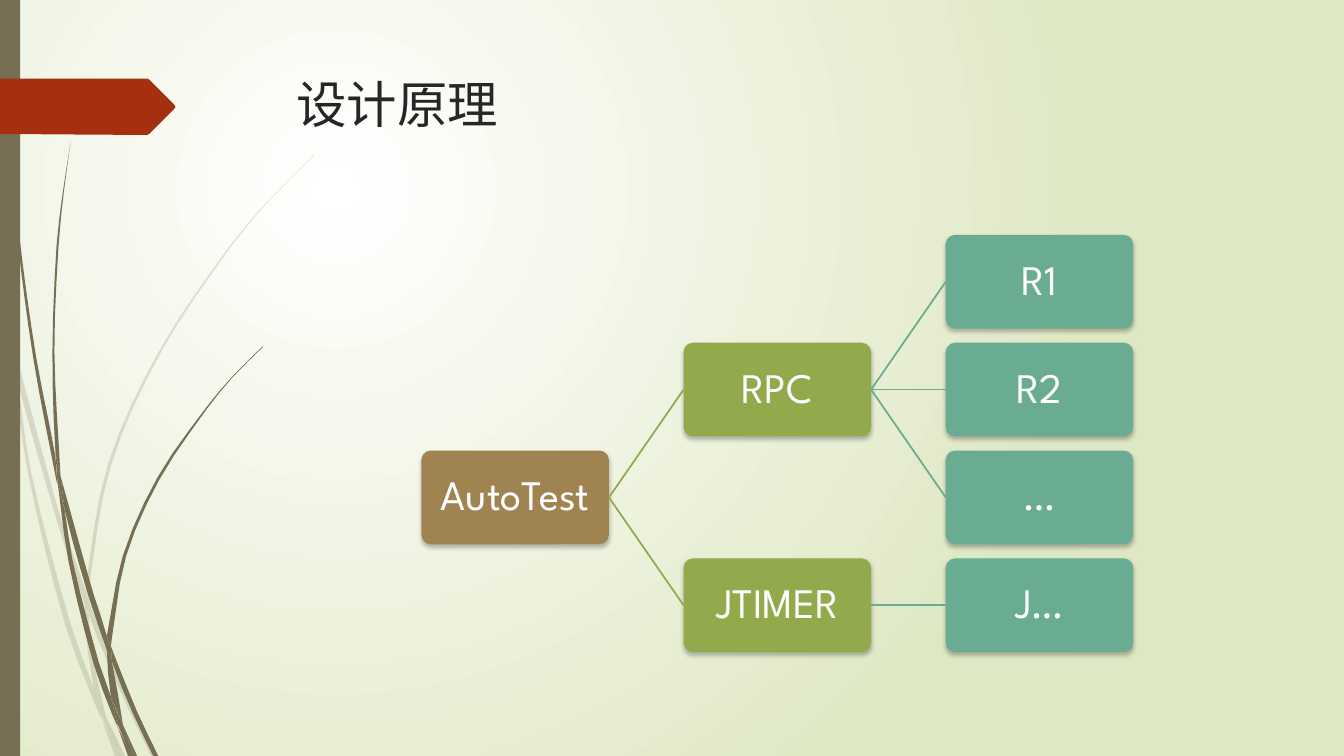
from dataclasses import dataclass
from math import ceil, dist
from typing import Any

from lxml import etree
from pptx import Presentation
from pptx import util as u
from pptx.dml.color import RGBColor
from pptx.enum import shapes, text
from pptx.oxml.ns import qn

COLORS = {
    "white": "FFFFFF", "pale": "DFE8C4", "stem": "766F54", "flag": "A53010",
    "ink": "262626", "brown": "9F8351", "green": "92AA4C", "teal": "6AAC91",
    "black": "000000",
}
FONT = "League Spartan"
Point = tuple[float, float]

# Box grid in inches
LEFT, TOP = 4.18, 2.33
WIDE, HIGH = 1.86, 0.93
STEP_X, STEP_Y = 2.6, 1.07


@dataclass
class Node:
    label: str
    col: int
    row: int
    color: str
    root: int | None = None


@dataclass
class Leaf:
    outline: str
    color: str = "stem"
    alpha: int = 100


NODES = [
    Node("AutoTest", 0, 2, "brown"),
    Node("RPC", 1, 1, "green", 0),
    Node("R1", 2, 0, "teal", 1),
    Node("R2", 2, 1, "teal", 1),
    Node("…", 2, 2, "teal", 1),
    Node("JTIMER", 1, 3, "green", 0),
    Node("J…", 2, 3, "teal", 5),
]

# Outlines as x,y pairs in inches
FAINT = [
    "0.11,3.5 0.09,3.22 0,2.82 0,2.99 0.1,3.44",
    "0.58,5.22 0.84,5.99 0.85,5.86 0.62,5.2 0.14,3.45 0.17,3.76",
    "0.92,6.07 0.88,5.96 0.88,6.1 1.23,6.94 1.5,7.5 1.55,7.5 1.27,6.92",
    "1.19,7.5 1.24,7.5 1.05,7.11",
    "0.93,6.83 0.7,6.19 0.31,4.69 0.17,3.76 0.11,3.5 0.28,4.7 0.65,6.21 "
    "0.92,6.93 1.01,7.14 0.99,7.07",
    "0.84,5.99 0.87,6.46 0.93,6.83 0.96,6.92 1.05,7.11 0.91,6.46 0.88,6.1",
    "0.88,5.84 1.1,4.62 1.6,3.49 2.29,2.45 2.68,1.98 3.12,1.54 3.12,1.53 "
    "2.68,1.97 2.28,2.44 1.58,3.48 1.07,4.61 0.85,5.84 0.88,5.96",
    "1.01,7.14 1.14,7.5 1.19,7.5",
    "0.88,6.08 0.88,5.96 0.85,5.86 0.84,5.99",
    "0.96,6.92 0.93,6.83 0.99,7.07 1.19,7.5 1.05,7.11",
]
DARK = [
    "0.07,1.1 0.17,2.33 0.33,3.55 0.56,4.77 0.57,4.81 0.55,4.53 0.36,3.55 "
    "0.19,2.32 0.08,1.09 0.04,0 0.03,0",
    "0.88,5.92 1.06,6.45 1.06,6.31 0.93,5.9 0.6,4.72 0.64,5.05",
    "1.13,6.49 1.1,6.41 1.11,6.56 1.32,7.08 1.52,7.5 1.57,7.5 1.36,7.06",
    "1.1,6.91 0.98,6.57 0.72,5.56 0.64,5.05 0.57,4.77 0.68,5.57 0.93,6.59 "
    "1.11,7.08 1.17,7.22 1.16,7.17",
    "0.6,4.72 0.54,3.49 0.58,2.45 0.63,1.93 0.7,1.41 0.62,1.93 0.56,2.45 "
    "0.52,3.49 0.55,4.49",
    "1.33,7.5 1.36,7.5 1.22,7.19",
    "0.57,4.77 0.64,5.05 0.6,4.72 0.55,4.49",
    "1.11,6.33 1.25,5.52 1.58,4.76 2.05,4.06 2.31,3.74 2.61,3.44 2.6,3.44 "
    "2.31,3.73 2.04,4.05 1.56,4.74 1.22,5.51 1.06,6.31 1.1,6.41",
    "1.17,7.22 1.27,7.5 1.31,7.5",
    "1.06,6.45 1.1,6.91 1.22,7.19 1.11,6.56",
    "1.06,6.45 1.11,6.56 1.1,6.41 1.06,6.31",
    "1.16,7.06 1.1,6.91 1.16,7.17 1.3,7.5 1.33,7.5 1.22,7.19",
]
FLAG = "0,0.78 1.46,0.78 1.48,0.79 1.73,1.04 1.74,1.06 1.73,1.08 1.48,1.33 1.46,1.34 0,1.33"

# Format values
TITLE = {"name": FONT, "size": u.Pt(36)}
LABEL = {"name": FONT, "size": u.Pt(30)}
FRAME = {
    "word_wrap": True, "vertical_anchor": text.MSO_ANCHOR.MIDDLE,
    "margin_left": u.Inches(0.05), "margin_right": u.Inches(0.05),
    "margin_top": u.Inches(0.05), "margin_bottom": u.Inches(0.05),
}
PARA = {"alignment": text.PP_ALIGN.CENTER, "line_spacing": 0.9}


def apply(target: Any, values: dict[str, Any]) -> None:
    for key, value in values.items():
        setattr(target, key, value)


def rgb(name: str) -> RGBColor:
    return RGBColor.from_string(COLORS[name])


def add(parent: Any, tag: str, **attrs: Any) -> Any:
    return etree.SubElement(parent, qn(tag), {k: str(v) for k, v in attrs.items()})


def paint(shape: Any, color: str, alpha: int = 100) -> None:
    shape.shadow.inherit = False
    shape.fill.solid()
    shape.fill.fore_color.rgb = rgb(color)
    shape.line.fill.background()
    if alpha < 100:
        add(next(shape.element.iter(qn("a:srgbClr"))), "a:alpha", val=alpha * 1000)


def unit(a: Point, b: Point) -> Point:
    size = dist(a, b) or 1
    return (b[0] - a[0]) / size, (b[1] - a[1]) / size


def smooth(knots: list[Point], reach: float = 0.4) -> list[Point]:
    """Round a closed outline between its corners."""
    count, slopes, result = len(knots), [], []
    for i, knot in enumerate(knots):
        back, ahead = unit(knots[i - 1], knot), unit(knot, knots[(i + 1) % count])
        bend = back[0] * ahead[0] + back[1] * ahead[1]
        mid = unit(knots[i - 1], knots[(i + 1) % count])
        slopes.append((mid, mid) if bend > 0.9 else (back, ahead))
    for i, a in enumerate(knots):
        j = (i + 1) % count
        b, size = knots[j], dist(a, knots[j])
        out, into = slopes[i][1], slopes[j][0]
        steps = ceil(size / reach)
        for t in (k / steps for k in range(steps)):
            w = t * t * (3 - 2 * t)
            p, q = size * t * (1 - t) ** 2, size * t * t * (t - 1)
            result.append(tuple(a[n] * (1 - w) + b[n] * w + out[n] * p + into[n] * q
                                for n in (0, 1)))
    return result


def draw_leaf(slide: Any, leaf: Leaf) -> None:
    knots = [tuple(map(float, pair.split(","))) for pair in leaf.outline.split()]
    first, *rest = [(u.Inches(x), u.Inches(y)) for x, y in smooth(knots)]
    pen = slide.shapes.build_freeform(*first)
    pen.add_line_segments(rest)
    paint(pen.convert_to_shape(), leaf.color, leaf.alpha)


def draw_node(slide: Any, node: Node) -> Any:
    box = slide.shapes.add_shape(
        shapes.MSO_SHAPE.ROUNDED_RECTANGLE,
        u.Inches(LEFT + node.col * STEP_X), u.Inches(TOP + node.row * STEP_Y),
        u.Inches(WIDE), u.Inches(HIGH))
    box.adjustments[0] = 0.1
    paint(box, node.color)
    glow = add(next(box.element.iter(qn("a:effectLst"))), "a:outerShdw",
               blurRad=u.Pt(3), dist=u.Pt(2), dir=5400000, rotWithShape=0)
    add(add(glow, "a:srgbClr", val=COLORS["black"]), "a:alpha", val=25000)
    apply(box.text_frame, FRAME)
    para = box.text_frame.paragraphs[0]
    para.text = node.label
    apply(para, PARA)
    apply(para.font, LABEL)
    para.font.color.rgb = rgb("white")
    return box


def draw_link(slide: Any, start: Any, end: Any, color: str) -> None:
    link = slide.shapes.add_connector(shapes.MSO_CONNECTOR.STRAIGHT, 0, 0, 0, 0)
    link.begin_connect(start, 3)
    link.end_connect(end, 1)
    link.line.color.rgb = rgb(color)
    link.line.width = u.Pt(1.25)
    add(link.element.spPr, "a:effectLst")


def main() -> None:
    deck = Presentation()
    deck.slide_width, deck.slide_height = u.Inches(13.33), u.Inches(7.5)
    slide = deck.slides.add_slide(deck.slide_layouts[6])

    # Radial backdrop
    fill = slide.background.fill
    fill.gradient()
    for stop, place, color in zip(fill.gradient_stops, (0, 1), ("white", "pale")):
        stop.position, stop.color.rgb = place, rgb(color)
    grad = next(slide.element.iter(qn("a:gradFill")))
    grad.remove(grad.find(qn("a:lin")))
    add(add(grad, "a:path", path="circle"), "a:fillToRect",
        l=50000, t=50000, r=100000, b=100000)

    # Stems, side bar and flag
    for leaf in [Leaf(s, alpha=20) for s in FAINT] + [Leaf(s) for s in DARK]:
        draw_leaf(slide, leaf)
    bar = slide.shapes.add_shape(
        shapes.MSO_SHAPE.RECTANGLE, 0, 0, u.Inches(0.2), deck.slide_height)
    paint(bar, "stem")
    draw_leaf(slide, Leaf(FLAG, "flag"))

    # Title
    title = slide.shapes.add_textbox(*map(u.Inches, (2.84, 0.68, 9.75, 1.4)))
    title.text_frame.word_wrap = True
    para = title.text_frame.paragraphs[0]
    para.text = "设计原理"
    apply(para.font, TITLE)
    para.font.color.rgb = rgb("ink")

    # Tree
    boxes = []
    for node in NODES:
        boxes.append(draw_node(slide, node))
        if node.root is not None:
            draw_link(slide, boxes[node.root], boxes[-1], node.color)

    deck.save("out.pptx")


if __name__ == "__main__":
    main()
